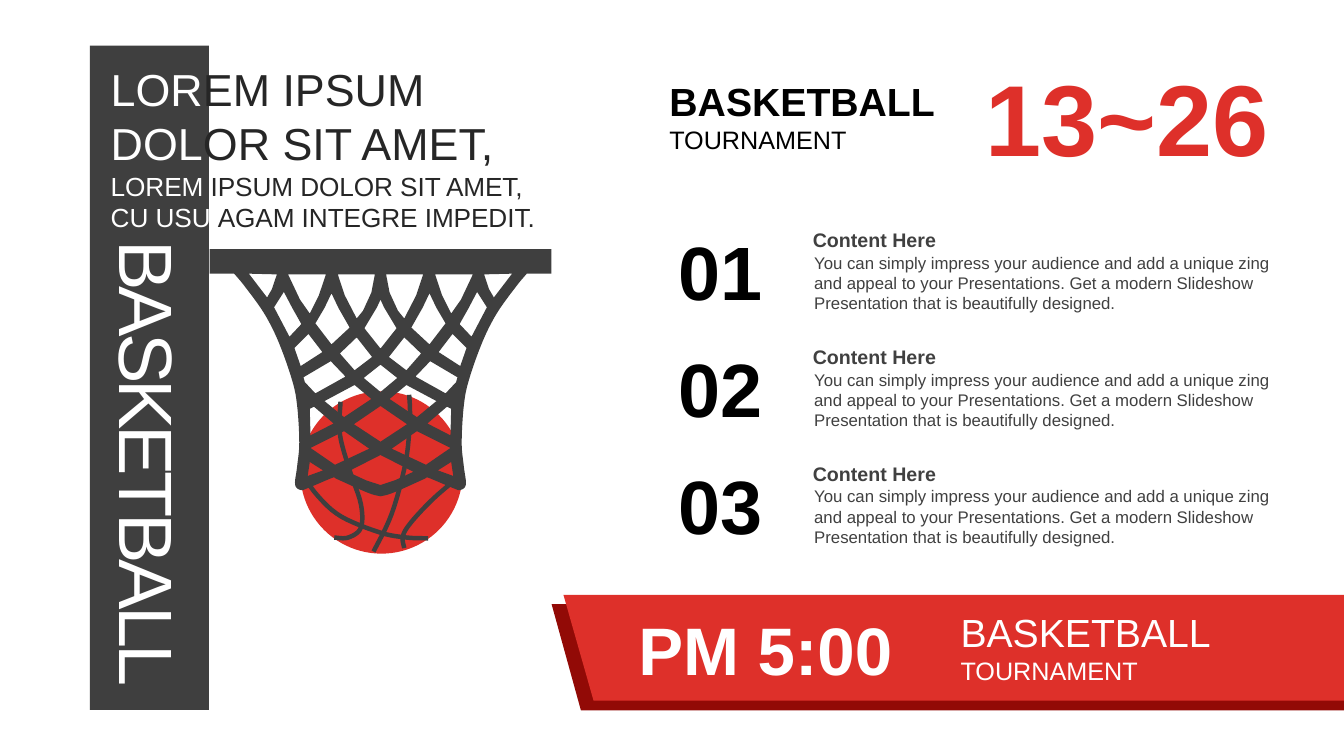
import pptx
import pptx.dml.color
import pptx.enum.shapes
import pptx.enum.text
import pptx.util

Pt = pptx.util.Pt
ALIGN = pptx.enum.text.PP_ALIGN
ANCHOR = pptx.enum.text.MSO_ANCHOR
SHAPE = pptx.enum.shapes.MSO_SHAPE

THEME = {
    "font": "Arial",
    "red": "DE302A", "dark_red": "920A06", "charcoal": "3F3F3F",
    "black": "000000", "white": "FFFFFF", "ink": "262626", "grey": "404040",
    "date": 72, "display": 54, "time": 48, "headline": 32, "heading": 28,
    "lead": 18.67, "sub": 18, "item": 14, "body": 12,
}

# Content
EVENT, EVENT_KIND = "BASKETBALL", "TOURNAMENT"
DATES, START_TIME = "13~26", "PM 5:00"
# Each line changes colour where it leaves the dark bar
HEADLINE = [("LOR", "EM IPSUM"), ("DOL", "OR SIT AMET,")]
LEAD = [("LOREM ", "IPSUM DOLOR SIT AMET,"), ("CU USU ", "AGAM INTEGRE IMPEDIT.")]
ITEM_TEXT = ("You can simply impress your audience and add a unique zing and appeal "
             "to your Presentations. Get a modern Slideshow Presentation that is "
             "beautifully designed.")
ITEMS = [(number, "Content Here", ITEM_TEXT) for number in ("01", "02", "03")]

# Geometry in points; net and seam x values are offsets from the hoop axis
SLIDE_W, SLIDE_H = 960, 540
HOOP_AXIS = 271.8
BAR = (64.2, 32.5, 85, 474.5)
BALL = (214.5, 279.5, 116, 116)
SEAMS = [
    [(20.5, 282), (21, 299), (18, 330), (8, 367), (-5, 394)],
    [(-57, 337), (-45, 354), (-28, 369), (0, 380.5), (19, 384), (34, 384.5)],
    [(-28.5, 287), (-29, 310), (-22, 336), (-14, 360), (-14, 377), (-23, 384), (-33, 384)],
    [(58, 339), (38, 356), (22, 373), (16, 383), (17, 391.5)],
]
# Right half of the rim and net
RIM_HALF = [(0, 178), (122, 178), (122, 195.5)]
NET_SIDE = [(104.5, 195.5), (97, 204.5), (83, 224), (72.5, 245), (63, 272), (59.5, 290),
            (58, 316), (59.5, 333), (61, 346), (57, 350), (51.5, 348.5), (33.5, 341),
            (31.5, 342), (9, 352), (0, 354.5)]
AXIS_HOLES = [  # right half of each hole on the axis
    [(0, 214), (2.5, 219.5), (11.5, 234.5), (0, 249)],
    [(0, 260.5), (12, 270), (0, 280)],
    [(0, 290), (19, 303), (0, 315.5)],
    [(0, 325), (23.5, 337), (10.5, 343), (0, 346.5)],
]
SIDE_HOLES = [  # each has a mirror image on the left
    [(4, 196), (30.5, 196), (25.5, 211), (17, 227.5), (12.5, 222), (6.5, 209)],
    [(35, 209.5), (40, 220), (46.5, 231), (35, 246), (22, 234), (30, 220)],
    [(39, 196), (66, 196), (57.5, 214), (50.5, 224), (44, 211)],
    [(69, 208.5), (76, 219.5), (65, 240.5), (56.5, 231.5), (63, 220)],
    [(81, 212.5), (77.5, 206.5), (74, 196), (94, 195.5)],
    [(6, 255), (17, 241), (29, 252.5), (18.5, 264.5)],
    [(57, 261.5), (41.5, 251.5), (51.5, 238.5), (61.5, 248.5)],
    [(25, 269), (35.5, 258), (55, 269.5), (54, 273), (46.5, 281)],
    [(26, 298), (6.5, 285), (18.5, 275), (40, 286.5)],
    [(50, 311), (33.5, 302.5), (47.5, 290.5), (50.5, 292)],
    [(8, 320.5), (26, 308), (50, 320), (32.5, 332)],
    [(50.5, 330), (52, 340), (41, 336)],
]
BANNERS = [
    ("dark_red", [(394, 431.5), (SLIDE_W, 431.5), (SLIDE_W, 507.5), (415, 507.5)]),
    ("red", [(402.5, 425), (SLIDE_W, 425), (SLIDE_W, 500.5), (424, 500.5)]),
]
ITEM_TOP, ITEM_PITCH = 157, 83.5


def rgb(name):
    return pptx.dml.color.RGBColor.from_string(THEME[name])


def paint(shape, color):
    shape.shadow.inherit = False
    shape.fill.solid()
    shape.fill.fore_color.rgb = rgb(color)
    shape.line.fill.background()


def add_solid(kind, box, color):
    paint(slide.shapes.add_shape(kind, *map(Pt, box)), color)


def add_outline(contours, close=True, axis=0):
    builder = None
    for contour in contours:
        corners = [(Pt(axis + x), Pt(y)) for x, y in contour]
        if builder is None:
            builder = slide.shapes.build_freeform(*corners[0])
        else:
            builder.move_to(*corners[0])
        builder.add_line_segments(corners[1:], close=close)
    return builder.convert_to_shape()


def mirror(points):
    return [(-x, y) for x, y in reversed(points)]


def smooth(knots, steps=6):
    """Points of a Catmull-Rom curve through the knots."""
    padded = [knots[0], *knots, knots[-1]]
    curve = [knots[0]]
    for a, b, c, d in zip(padded, padded[1:], padded[2:], padded[3:]):
        for step in range(1, steps + 1):
            t = step / steps
            curve.append(tuple(
                0.5 * (2 * q + (r - p) * t + (2 * p - 5 * q + 4 * r - s) * t ** 2
                       + (3 * q - p - 3 * r + s) * t ** 3)
                for p, q, r, s in zip(a, b, c, d)))
    return curve


def write(box, place, lines, size, bold=False, align=ALIGN.LEFT, anchor=ANCHOR.MIDDLE):
    """Lines are lists of (text, colour) runs."""
    box.left, box.top, box.width, box.height = map(Pt, place)
    frame = box.text_frame
    frame.word_wrap = True
    frame.auto_size = pptx.enum.text.MSO_AUTO_SIZE.NONE
    frame.vertical_anchor = anchor
    for index, runs in enumerate(lines):
        paragraph = frame.add_paragraph() if index else frame.paragraphs[0]
        paragraph.alignment = align
        for text, color in runs:
            run = paragraph.add_run()
            run.text = text
            run.font.name = THEME["font"]
            run.font.size = Pt(THEME[size])
            run.font.bold = bold
            run.font.color.rgb = rgb(color)
    return box


def add_text(place, *args, **style):
    return write(slide.shapes.add_textbox(0, 0, 0, 0), place, *args, **style)


deck = pptx.Presentation()
deck.slide_width, deck.slide_height = Pt(SLIDE_W), Pt(SLIDE_H)
slide = deck.slides.add_slide(deck.slide_layouts[5])

# Event title and dates
write(slide.shapes.title, (471, 51.6, 229, 41), [[(EVENT, "black")]], "heading", bold=True)
add_text((471, 85, 229, 29), [[(EVENT_KIND, "black")]], "sub")
add_text((679.5, 36, 251, 94), [[(DATES, "red")]], "date", bold=True, align=ALIGN.CENTER)

# Ball with seams
add_solid(SHAPE.OVAL, BALL, "red")
for seam in SEAMS:
    cord = add_outline([smooth(seam)], close=False, axis=HOOP_AXIS)
    cord.shadow.inherit = False
    cord.fill.background()
    cord.line.color.rgb = rgb("charcoal")
    cord.line.width = Pt(3.2)

# Bar with its vertical word
add_solid(SHAPE.RECTANGLE, BAR, "charcoal")
bar_word = add_text((-65, 294.5, 344, 73), [[(EVENT, "white")]], "display",
                    align=ALIGN.CENTER)
bar_word.rotation = 90
bar_word.text_frame.paragraphs[0].runs[0].font._element.set("spc", "-300")

# Rim and net in one outline with holes
hoop_half = RIM_HALF + smooth(NET_SIDE)
hoop = [hoop_half + mirror(hoop_half)]
hoop += [half + mirror(half) for half in AXIS_HOLES]
for hole in SIDE_HOLES:
    hoop += [hole, mirror(hole)]
paint(add_outline(hoop, axis=HOOP_AXIS), "charcoal")

# Two-tone headline and lead
for place, lines, size in [((72, 117.6, 530, 52.5), LEAD, "lead"),
                           ((72, 40.2, 530, 85), HEADLINE, "headline")]:
    add_text(place, [[(on_bar, "white"), (off_bar, "ink")] for on_bar, off_bar in lines], size)

# Bottom banner
for color, corners in BANNERS:
    paint(add_outline([corners]), color)
add_text((439, 430.5, 215.5, 65.5), [[(START_TIME, "white")]], "time",
         bold=True, align=ALIGN.CENTER)
add_text((679, 430.5, 229, 41), [[(EVENT, "white")]], "heading")
add_text((679, 464.5, 229, 29), [[(EVENT_KIND, "white")]], "sub")

# Numbered items
for row, (number, heading, body) in enumerate(ITEMS):
    top = ITEM_TOP + row * ITEM_PITCH
    add_text((472, top - 0.5, 85, 73), [[(number, "black")]], "display",
             bold=True, align=ALIGN.CENTER)
    add_text((573.5, top + 2, 345, 24.5), [[(heading, "grey")]], "item", bold=True)
    add_text((574.5, top + 19.7, 343.5, 51), [[(body, "grey")]], "body", anchor=ANCHOR.TOP)

deck.save("out.pptx")
